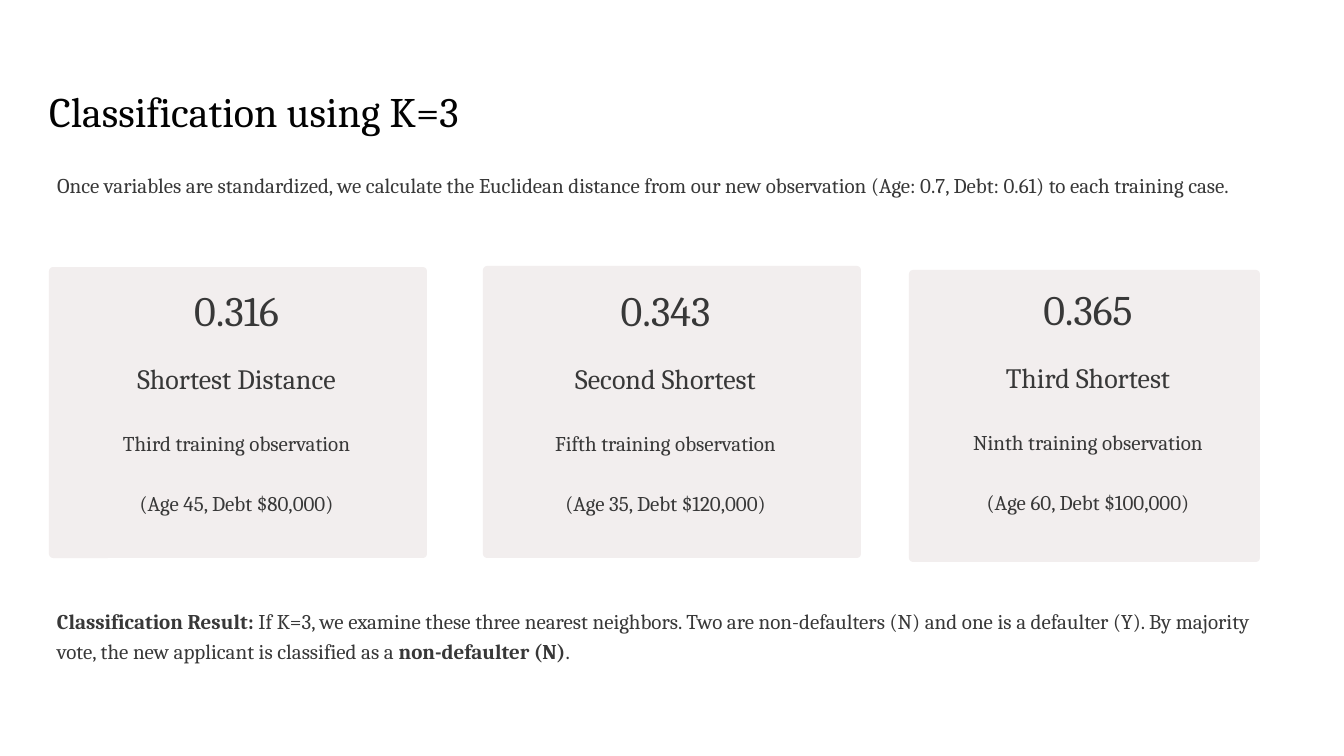
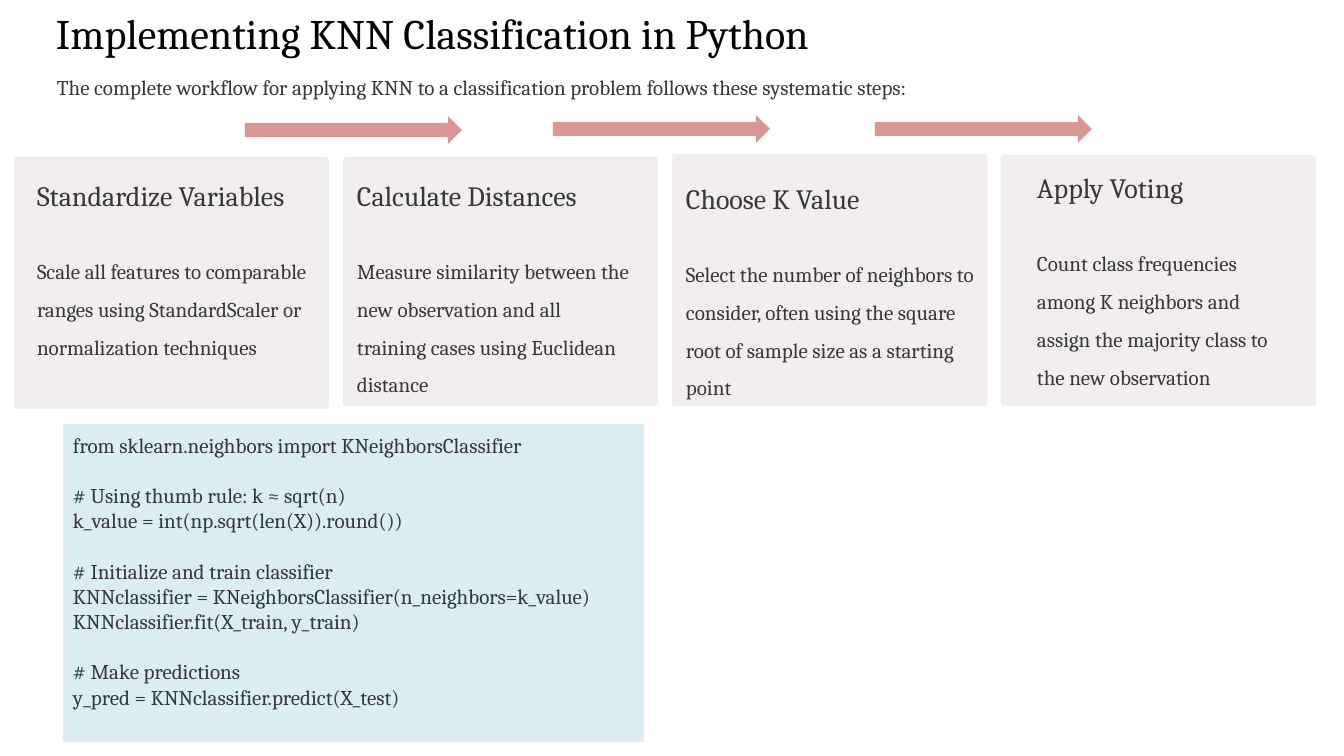
from dataclasses import dataclass

from pptx import Presentation
from pptx.dml.color import RGBColor
from pptx.enum.shapes import MSO_SHAPE as Shape
from pptx.enum.text import PP_ALIGN as Align
from pptx.util import Emu, Pt

SCALE = 914400 / 84


def px(length):
    return Emu(round(length * SCALE))


@dataclass(frozen=True)
class Theme:
    font: str = "Cambria"
    title_color: str = "020202"
    text_color: str = "383838"
    card: str = "F2EEEE"
    code_panel: str = "DBEEF4"
    arrow: str = "D99694"
    title_size: int = 36
    heading_size: int = 24
    body_size: int = 18
    line_ratio: float = 1.2


class Deck:
    def __init__(self, theme):
        self.theme = theme
        self.presentation = Presentation()
        self.presentation.slide_width = px(1344)
        self.presentation.slide_height = px(756)
        self.slide = None

    def new_slide(self):
        layout = self.presentation.slide_layouts[6]
        self.slide = self.presentation.slides.add_slide(layout)

    def shape(self, kind, box, color):
        shape = self.slide.shapes.add_shape(kind, *map(px, box))
        shape.shadow.inherit = False
        shape.fill.solid()
        shape.fill.fore_color.rgb = RGBColor.from_string(color)
        shape.line.fill.background()
        return shape

    def card(self, box):
        self.shape(Shape.ROUNDED_RECTANGLE, box, self.theme.card).adjustments[0] = 0.014

    def arrow(self, box):
        self.shape(Shape.RIGHT_ARROW, box, self.theme.arrow)

    def text_frame(self, box):
        frame = self.slide.shapes.add_textbox(*map(px, box)).text_frame
        frame.word_wrap = True
        frame.margin_left = frame.margin_top = 0
        frame.margin_right = frame.margin_bottom = 0
        return frame

    def paragraph(self, frame, runs, size, spacing=None, before=0, align=None, color=None):
        first = frame.paragraphs[0]
        paragraph = frame.add_paragraph() if first.runs else first
        paragraph.alignment = align
        if spacing:
            paragraph.line_spacing = spacing
        if before:
            paragraph.space_before = Pt(before)
        for text, bold in runs:
            run = paragraph.add_run()
            run.text = text
            run.font.name = self.theme.font
            run.font.size = Pt(size)
            run.font.bold = bold
            run.font.color.rgb = RGBColor.from_string(color or self.theme.text_color)

    def title(self, text, box, line_height):
        self.paragraph(self.text_frame(box), [(text, False)], self.theme.title_size,
                       Pt(line_height), color=self.theme.title_color)

    def body(self, runs, box, line_height):
        self.paragraph(self.text_frame(box), runs, self.theme.body_size, Pt(line_height))

    def distance_card(self, card_box, text_box, lines):
        self.card(card_box)
        frame = self.text_frame(text_box)
        theme = self.theme
        sizes = (theme.title_size, theme.heading_size, theme.body_size, theme.body_size)
        for text, size in zip(lines, sizes):
            self.paragraph(frame, [(text, False)], size, Pt(51.5), align=Align.CENTER)

    def step_card(self, card_box, text_box, heading, detail):
        self.card(card_box)
        frame = self.text_frame(text_box)
        theme = self.theme
        self.paragraph(frame, [(heading, False)], theme.heading_size, 1.5)
        self.paragraph(frame, [(detail, False)], theme.body_size, 1.5,
                       before=theme.heading_size * theme.line_ratio)

    def code(self, panel_box, text_box, blocks):
        self.shape(Shape.RECTANGLE, panel_box, self.theme.code_panel)
        frame = self.text_frame(text_box)
        size = self.theme.body_size
        for block_index, block in enumerate(blocks):
            for line_index, line in enumerate(block):
                starts_block = block_index > 0 and line_index == 0
                gap = size * self.theme.line_ratio if starts_block else 0
                self.paragraph(frame, [(line, False)], size, before=gap)


DISTANCES = [
    ((49, 267, 378, 291), (66, 275, 341, 447),
     ("0.316", "Shortest Distance", "Third training observation", "(Age 45, Debt $80,000)")),
    ((483, 266, 378, 292), (500, 275, 331, 447),
     ("0.343", "Second Shortest", "Fifth training observation", "(Age 35, Debt $120,000)")),
    ((909, 270, 351, 292), (929, 274, 318, 415),
     ("0.365", "Third Shortest", "Ninth training observation", "(Age 60, Debt $100,000)")),
]

STEPS = [
    (157, 252, (37, 162, 281, 228), "Standardize Variables",
     "Scale all features to comparable ranges using StandardScaler or normalization techniques"),
    (157, 249, (357, 162, 277, 447), "Calculate Distances",
     "Measure similarity between the new observation and all training cases using "
     "Euclidean distance"),
    (154, 252, (686, 165, 291, 213), "Choose K Value",
     "Select the number of neighbors to consider, often using the square root of "
     "sample size as a starting point"),
    (155, 251, (1037, 154, 260, 283), "Apply Voting",
     "Count class frequencies among K neighbors and assign the majority class to "
     "the new observation"),
]

CODE_BLOCKS = [
    ["from sklearn.neighbors import KNeighborsClassifier"],
    ["# Using thumb rule: k ≈ sqrt(n)",
     "k_value = int(np.sqrt(len(X)).round())"],
    ["# Initialize and train classifier",
     "KNNclassifier = KNeighborsClassifier(n_neighbors=k_value)",
     "KNNclassifier.fit(X_train, y_train)"],
    ["# Make predictions",
     "y_pred = KNNclassifier.predict(X_test)"],
]


def add_classification(deck):
    deck.new_slide()
    deck.title("Classification using K=3", (49, 76, 1254, 57), 51)
    deck.body([("Once variables are standardized, we calculate the Euclidean distance from "
                "our new observation (Age: 0.7, Debt: 0.61) to each training case.", False)],
              (57, 169, 1180, 57), 25)
    for card_box, text_box, lines in DISTANCES:
        deck.distance_card(card_box, text_box, lines)
    deck.body([("Classification Result:", True),
               (" If K=3, we examine these three nearest neighbors. Two are non-defaulters (N) "
                "and one is a defaulter (Y). By majority vote, the new applicant is "
                "classified as a ", False),
               ("non-defaulter (N)", True),
               (".", False)],
              (57, 605, 1194, 57), 25)


def add_implementation(deck):
    deck.new_slide()
    deck.title("Implementing KNN Classification in Python", (56, 19, 1254, 41), 33)
    deck.body([("The complete workflow for applying KNN to a classification problem follows "
                "these systematic steps:", False)],
              (57, 81, 1258, 20), 16)
    for index, (top, height, text_box, heading, detail) in enumerate(STEPS):
        deck.step_card((14 + 329 * index, top, 315, height), text_box, heading, detail)
    for left, top in ((245, 116), (553, 115), (875, 115)):
        deck.arrow((left, top, 217, 28))
    deck.code((63, 424, 581, 318), (73, 432, 1198, 282), CODE_BLOCKS)


def main():
    deck = Deck(Theme())
    add_classification(deck)
    add_implementation(deck)
    deck.presentation.save("out.pptx")


if __name__ == "__main__":
    main()
